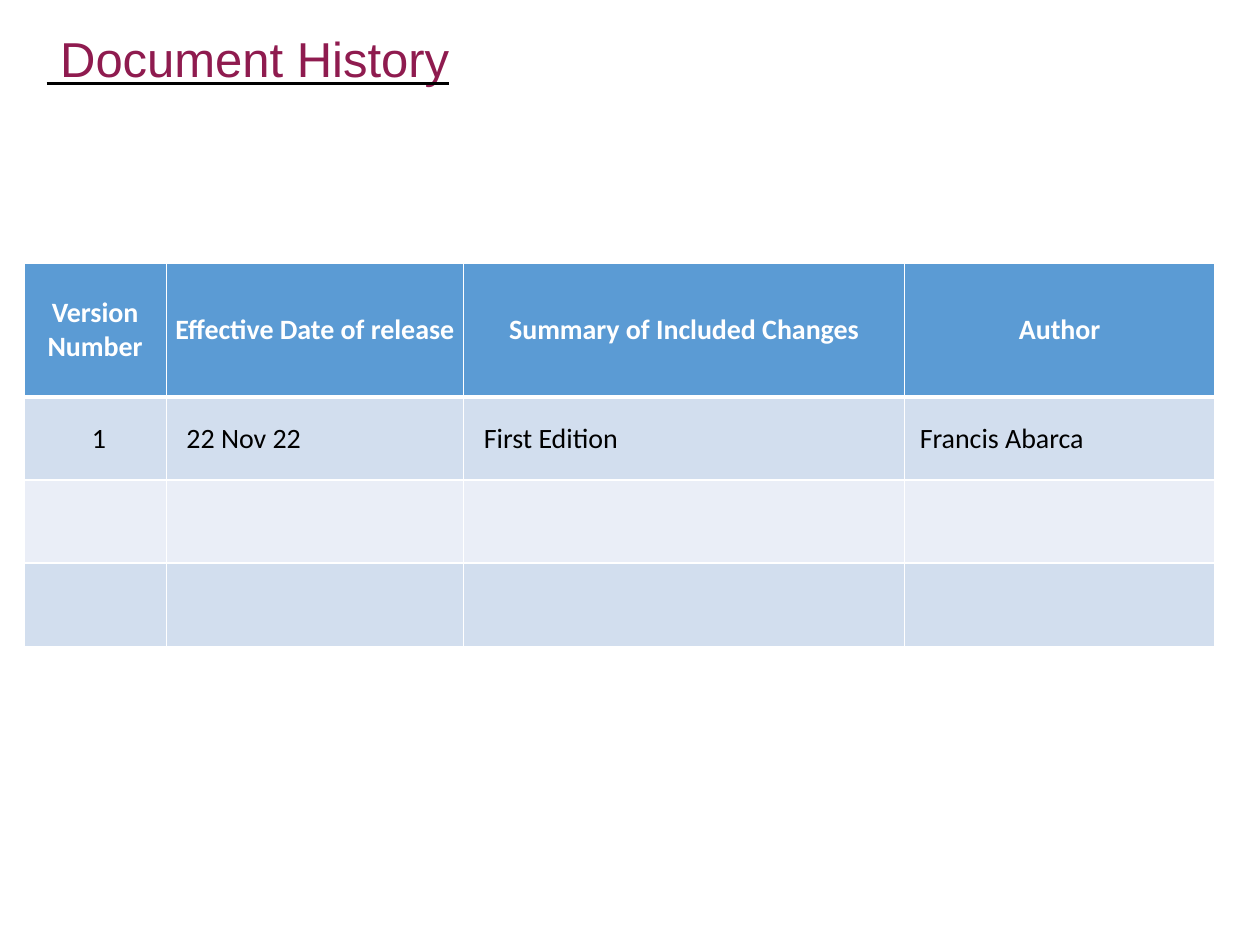
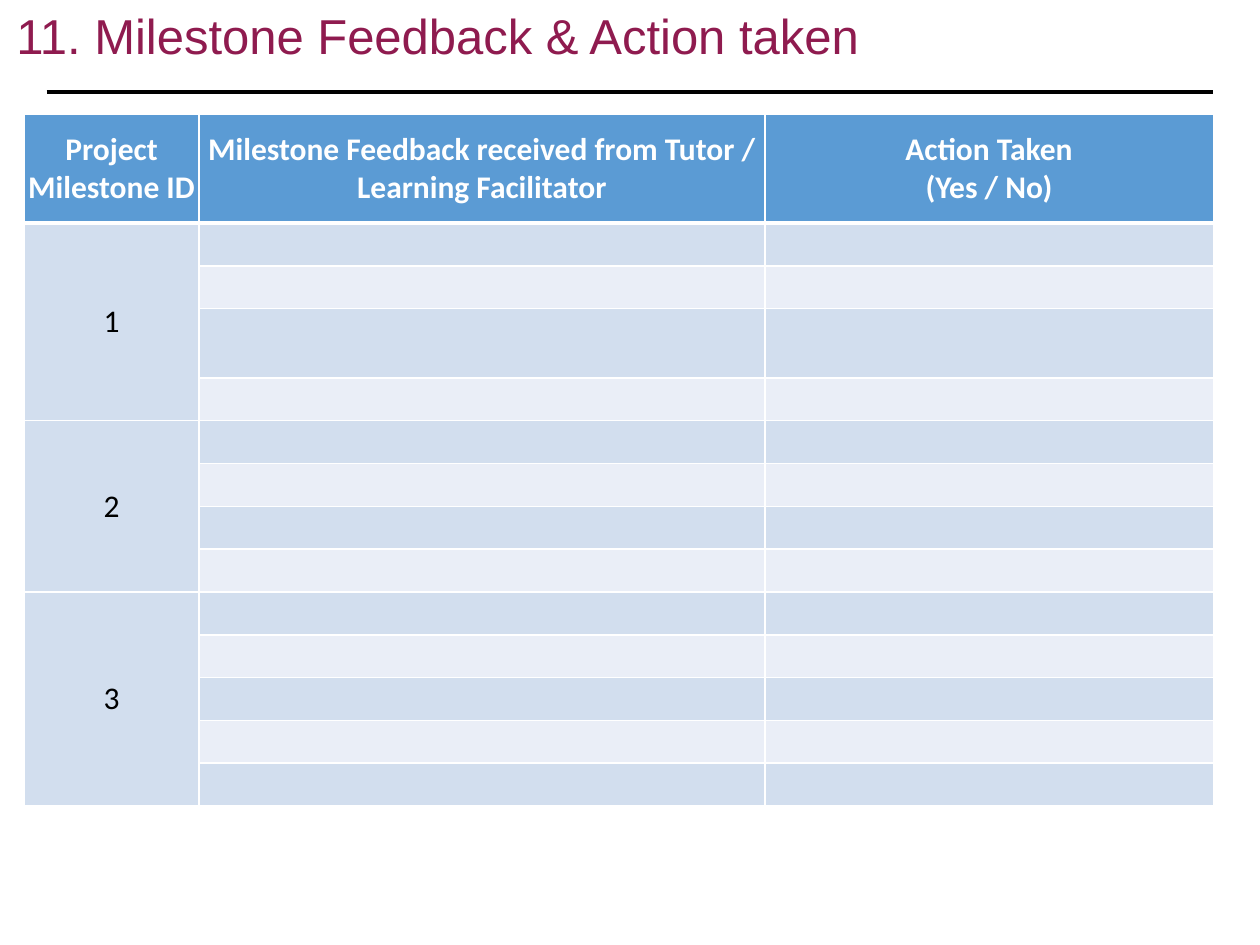
from lxml import etree
from pptx import Presentation
from pptx import util as u
from pptx.dml.color import RGBColor
from pptx.enum import shapes, text
from pptx.oxml import ns

MAROON = RGBColor(0x8F, 0x1B, 0x4F)
BLACK = RGBColor(0, 0, 0)
WHITE = RGBColor(0xFF, 0xFF, 0xFF)
HEAD = RGBColor(0x5B, 0x9B, 0xD4)
BANDS = (RGBColor(0xD2, 0xDE, 0xEE), RGBColor(0xEA, 0xEE, 0xF7))
LEFT = 0.19

HISTORY = {
    "title": " Document History",
    "indent": 0.28, "inset": 0.2, "underline": True,
    "top": 2.09, "size": 16,
    "cols": [1.13, 2.36, 3.5, 2.46],
    "rows": [1.06] + [0.66] * 3,
    "header": ["Version Number", "Effective Date of release",
               "Summary of Included Changes", "Author"],
    "cells": {(1, 0): "1", (1, 1): "22 Nov 22", (1, 2): "First Edition",
              (1, 3): "Francis Abarca"},
    "indents": [0.06, 0.16, 0.16, 0.12],
    "groups": [],
}
MILESTONES = {
    "title": "11. Milestone Feedback & Action taken",
    "indent": 0.04, "inset": 0.01, "underline": False,
    "top": 0.91, "size": 18,
    "cols": [1.39, 4.49, 3.56],
    "rows": [0.86, 0.34, 0.34, 0.55] + [0.34] * 10,
    "header": ["Project Milestone ID",
               "Milestone Feedback received from Tutor / Learning Facilitator",
               "Action Taken\v(Yes / No)"],
    "cells": {(1, 0): "1", (5, 0): "2", (9, 0): "3"},
    "indents": [0, 0, 0],
    "groups": [(1, 4), (5, 8), (9, 13)],
}


def solid(parent, tag, color, **attrs):
    el = etree.SubElement(parent, ns.qn(tag), attrs)
    fill = etree.SubElement(el, ns.qn("a:solidFill"))
    etree.SubElement(fill, ns.qn("a:srgbClr"), val=str(color))
    return el


def style(p, size, name, color, bold=False):
    for r in p.runs:
        r.font.size = u.Pt(size)
        r.font.name = name
        r.font.color.rgb = color
        r.font.bold = bold


def add_title(s, spec_):
    sp = s.shapes.title
    sp.left, sp.top, sp.width, sp.height = map(u.Inches, (0.09, 0.03, 9.56, 0.68))
    tf = sp.text_frame
    tf.text = spec_["title"]
    tf.auto_size = text.MSO_AUTO_SIZE.NONE
    tf.vertical_anchor = text.MSO_ANCHOR.TOP
    tf.margin_left = u.Inches(spec_["indent"])
    tf.margin_top = u.Inches(spec_["inset"])
    tf.margin_right = tf.margin_bottom = 0
    p = tf.paragraphs[0]
    p.alignment = text.PP_ALIGN.LEFT
    p.space_before = u.Pt(0.9)
    style(p, 28, "Arial", MAROON)
    if spec_["underline"]:
        r = p.runs[0]
        r.font.underline = True
        rPr = r.font._element
        rPr.find(ns.qn("a:latin")).addprevious(solid(rPr, "a:uFill", BLACK))


def add_rule(s):
    ln = s.shapes.add_connector(shapes.MSO_CONNECTOR.STRAIGHT, u.Inches(0.37),
                                u.Inches(0.73), u.Inches(9.63), u.Inches(0.73))
    ln.line.color.rgb = BLACK
    ln.line.width = u.Pt(2)
    etree.SubElement(ln._element.spPr, ns.qn("a:effectLst"))


def set_borders(cell, row):
    tcPr = cell._tc.get_or_add_tcPr()
    widths = {"L": 1, "R": 1, "T": 3 if row == 1 else 1, "B": 3 if row == 0 else 1}
    for i, (side, width) in enumerate(widths.items()):
        tcPr.insert(i, solid(tcPr, "a:ln" + side, WHITE, w=str(u.Pt(width))))


def add_grid(s, spec_):
    cols, rows = spec_["cols"], spec_["rows"]
    table = s.shapes.add_table(len(rows), len(cols), u.Inches(LEFT), u.Inches(spec_["top"]),
                               u.Inches(sum(cols)), u.Inches(sum(rows))).table
    for col, width in zip(table.columns, cols):
        col.width = u.Inches(width)
    for row, height in zip(table.rows, rows):
        row.height = u.Inches(height)
    for i in range(len(rows)):
        for j in range(len(cols)):
            cell = table.cell(i, j)
            header = i == 0
            cell.margin_left = cell.margin_right = cell.margin_top = cell.margin_bottom = 0
            cell.vertical_anchor = text.MSO_ANCHOR.MIDDLE
            grouped = j == 0 and i > 0 and spec_["groups"]
            cell.fill.solid()
            cell.fill.fore_color.rgb = HEAD if header else BANDS[0 if grouped else (i - 1) % 2]
            set_borders(cell, i)
            words = spec_["header"][j] if header else spec_["cells"].get((i, j))
            if words:
                p = cell.text_frame.paragraphs[0]
                p.text = words
                centred = header or j == 0
                p.alignment = text.PP_ALIGN.CENTER if centred else text.PP_ALIGN.LEFT
                if not header:
                    cell.margin_left = u.Inches(spec_["indents"][j])
                style(p, spec_["size"], "Calibri", WHITE if header else BLACK, header)
    for first, last in spec_["groups"]:
        table.cell(first, 0).merge(table.cell(last, 0))


prs = Presentation()
prs.slide_width, prs.slide_height = u.Inches(10), u.Inches(7.5)
for page in (HISTORY, MILESTONES):
    s = prs.slides.add_slide(prs.slide_layouts[5])
    if page is MILESTONES:
        add_rule(s)
    add_title(s, page)
    add_grid(s, page)
prs.save("out.pptx")
